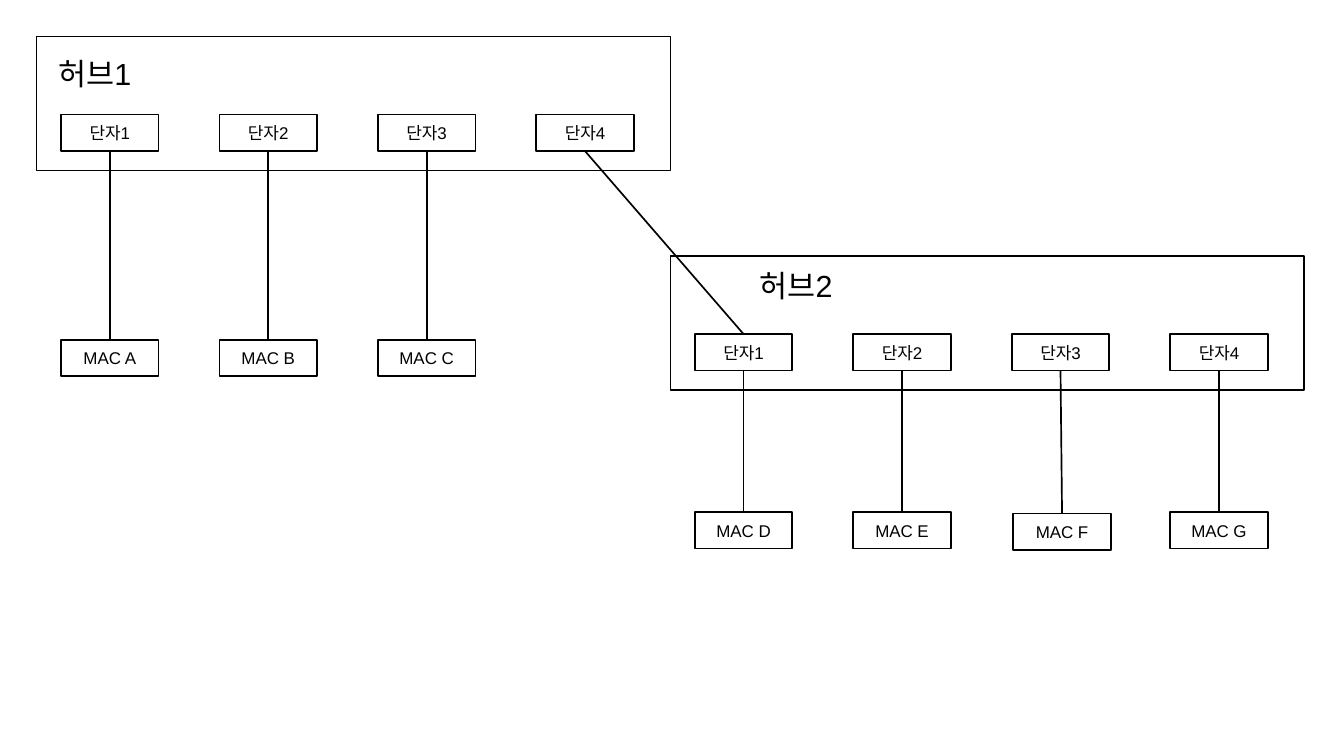
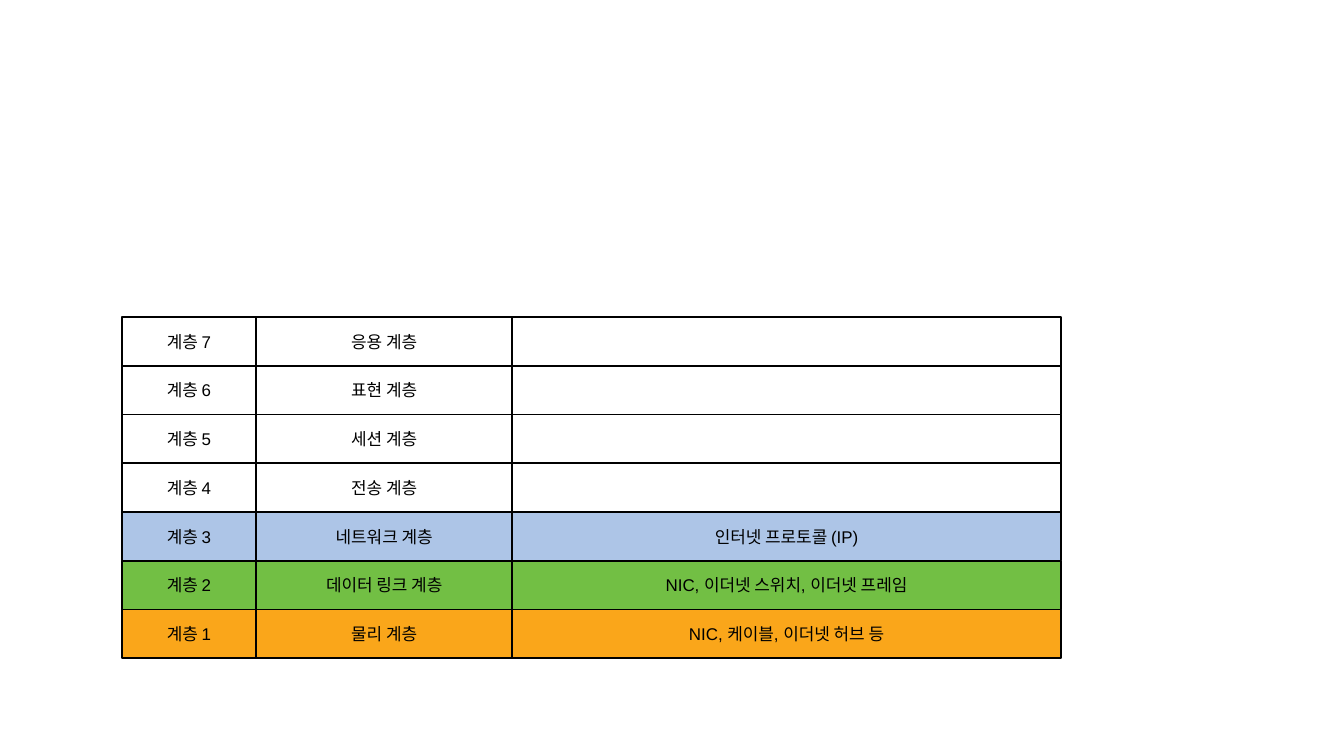
from itertools import accumulate
from typing import NamedTuple

from lxml import etree
from pptx import Presentation
from pptx.dml.color import RGBColor
from pptx.enum.shapes import MSO_CONNECTOR, MSO_SHAPE
from pptx.enum.text import MSO_ANCHOR, MSO_AUTO_SIZE, PP_ALIGN
from pptx.oxml.ns import qn
from pptx.util import Pt

RECT = MSO_SHAPE.RECTANGLE
STRAIGHT = MSO_CONNECTOR.STRAIGHT
MIDDLE = MSO_ANCHOR.MIDDLE
CENTER, LEFT = PP_ALIGN.CENTER, PP_ALIGN.LEFT
FIT_SHAPE = MSO_AUTO_SIZE.SHAPE_TO_FIT_TEXT
TOP_SITE, BOTTOM_SITE = 0, 2

BLACK, WHITE = "000000", "FFFFFF"
BLUE, GREEN, ORANGE = "ADC5E7", "72BF44", "FAA61A"
FONT = "Arial"
LABEL_SIZE, TITLE_SIZE = 10, 18
LINE_WIDTH = 1

SLIDE_W, SLIDE_H = 793.44, 446.4
HUB_W, HUB_H = 374.2, 79.2
BOX_W, BOX_H = 57.6, 21.6
PORT_COUNT, PORT_STEP = 4, 93.55
PORT_DX, PORT_DY = 14.4, 46.08
TITLE_W, TITLE_H = 62.64, 33.12

STACK_X, STACK_Y = 72, 187.2
LAYER_H = 28.77
COLUMN_WIDTHS = (79.2, 151.2, 323.8)

BOX_FRAME = {
    "word_wrap": False, "vertical_anchor": MIDDLE,
    "margin_left": Pt(7.92), "margin_right": Pt(7.92),
    "margin_top": Pt(4.32), "margin_bottom": Pt(4.32),
}
TITLE_FRAME = {
    "word_wrap": False, "auto_size": FIT_SHAPE,
    "margin_left": Pt(7.2), "margin_right": Pt(7.2),
    "margin_top": Pt(3.6), "margin_bottom": Pt(3.6),
}


class Host(NamedTuple):
    letter: str
    shift: float = 0


class Hub(NamedTuple):
    name: str
    x: float
    y: float
    title_x: float
    title_y: float
    host_y: float
    hosts: tuple[Host, ...]


class Layer(NamedTuple):
    number: int
    name: str
    examples: str = ""
    fill: str | None = None


HUBS = (
    Hub("허브1", 21.6, 21.6, 27.36, 28.8, 200.6,
        (Host("A"), Host("B"), Host("C"))),
    Hub("허브2", 395.8, 151.2, 441.36, 154.08, 302.4,
        (Host("D"), Host("E"), Host("F", 0.9), Host("G"))),
)
LAYERS = (
    Layer(7, "응용 계층"),
    Layer(6, "표현 계층"),
    Layer(5, "세션 계층"),
    Layer(4, "전송 계층"),
    Layer(3, "네트워크 계층", "인터넷 프로토콜 (IP)", BLUE),
    Layer(2, "데이터 링크 계층", "NIC, 이더넷 스위치, 이더넷 프레임", GREEN),
    Layer(1, "물리 계층", "NIC, 케이블, 이더넷 허브 등", ORANGE),
)


def rgb(color: str) -> RGBColor:
    return RGBColor.from_string(color)


def apply_format(target, values: dict) -> None:
    for name, value in values.items():
        setattr(target, name, value)


def set_fill(fill, color: str | None) -> None:
    if color is None:
        fill.background()
    else:
        fill.solid()
        fill.fore_color.rgb = rgb(color)


def set_line(line) -> None:
    line.color.rgb = rgb(BLACK)
    line.width = Pt(LINE_WIDTH)


def write(tf, text: str, size: float = LABEL_SIZE, align=CENTER) -> None:
    p = tf.paragraphs[0]
    p.alignment = align
    r = p.add_run()
    r.text = text
    apply_format(r.font, {"name": FONT, "size": Pt(size)})
    r.font.color.rgb = rgb(BLACK)


def add_box(slide, x: float, y: float, w: float, h: float,
            text: str = "", fill: str | None = None):
    sp = slide.shapes.add_shape(RECT, Pt(x), Pt(y), Pt(w), Pt(h))
    sp.shadow.inherit = False
    set_fill(sp.fill, fill)
    set_line(sp.line)
    if text:
        apply_format(sp.text_frame, BOX_FRAME)
        write(sp.text_frame, text)
    return sp


def add_link(slide, upper, lower) -> None:
    """Join the bottom of the upper box to the top of the lower one."""
    line = slide.shapes.add_connector(STRAIGHT, 0, 0, 0, 0)
    line.begin_connect(upper, BOTTOM_SITE)
    line.end_connect(lower, TOP_SITE)
    set_line(line.line)
    etree.SubElement(line._element.spPr, qn("a:effectLst"))


def add_hub(slide, hub: Hub) -> list:
    """Draw a hub with its hosts and return its ports."""
    add_box(slide, hub.x, hub.y, HUB_W, HUB_H)
    title = slide.shapes.add_textbox(
        Pt(hub.title_x), Pt(hub.title_y), Pt(TITLE_W), Pt(TITLE_H))
    apply_format(title.text_frame, TITLE_FRAME)
    write(title.text_frame, hub.name, TITLE_SIZE, LEFT)

    lefts = [hub.x + PORT_DX + i * PORT_STEP for i in range(PORT_COUNT)]
    ports = [add_box(slide, x, hub.y + PORT_DY, BOX_W, BOX_H,
                     f"단자{number}", WHITE)
             for number, x in enumerate(lefts, 1)]
    for port, x, host in zip(ports, lefts, hub.hosts):
        box = add_box(slide, x + host.shift, hub.host_y + host.shift,
                      BOX_W, BOX_H, f"MAC {host.letter}", WHITE)
        add_link(slide, port, box)
    return ports


def build_hub_slide(slide) -> None:
    first_ports, second_ports = [add_hub(slide, hub) for hub in HUBS]
    add_link(slide, first_ports[-1], second_ports[0])


def build_layer_slide(slide) -> None:
    lefts = list(accumulate(COLUMN_WIDTHS[:-1], initial=STACK_X))
    for i, layer in enumerate(LAYERS):
        texts = (f"계층 {layer.number}", layer.name, layer.examples)
        for x, width, text in zip(lefts, COLUMN_WIDTHS, texts):
            add_box(slide, x, STACK_Y + i * LAYER_H, width, LAYER_H,
                    text, layer.fill)


def main() -> None:
    prs = Presentation()
    prs.slide_width, prs.slide_height = Pt(SLIDE_W), Pt(SLIDE_H)
    blank = prs.slide_layouts[6]
    for build in (build_hub_slide, build_layer_slide):
        build(prs.slides.add_slide(blank))
    prs.save("out.pptx")


if __name__ == "__main__":
    main()
